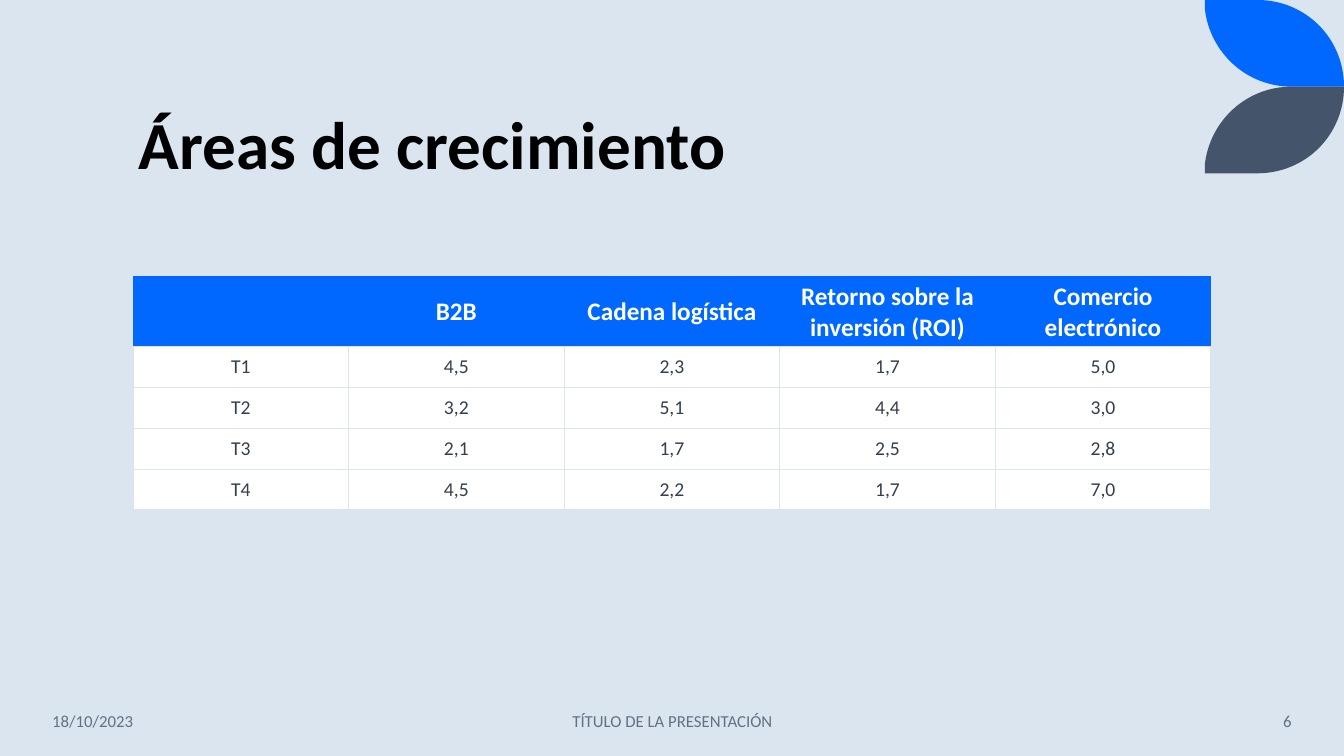
from lxml import etree
from pptx import Presentation
from pptx.dml.color import RGBColor
from pptx.enum.text import MSO_ANCHOR, PP_ALIGN
from pptx.oxml.ns import qn
from pptx.util import Inches, Pt

LEFT, CENTER, RIGHT = PP_ALIGN.LEFT, PP_ALIGN.CENTER, PP_ALIGN.RIGHT
MIDDLE, BOTTOM = MSO_ANCHOR.MIDDLE, MSO_ANCHOR.BOTTOM

FONT = "Calibri"
PALE, BLUE, SLATE = "DAE5EF", "0068FF", "44546A"
BLACK, WHITE, BODY, GREY = "000000", "FFFFFF", "333F50", "637183"

TITLE = "Áreas de crecimiento"
GROWTH = [
    ("", "B2B", "Cadena logística", "Retorno sobre la inversión (ROI)", "Comercio electrónico"),
    ("T1", "4,5", "2,3", "1,7", "5,0"),
    ("T2", "3,2", "5,1", "4,4", "3,0"),
    ("T3", "2,1", "1,7", "2,5", "2,8"),
    ("T4", "4,5", "2,2", "1,7", "7,0"),
]
FOOTER = [  # text, left, width, alignment
    ("18/10/2023", 0.42, 1.86, LEFT),
    ("TÍTULO DE LA PRESENTACIÓN", 4.42, 4.5, CENTER),
    ("6", 11.1, 1.81, RIGHT),
]
TABLE_BOX = (1.32, 2.74, 10.69, 2.32)
ROW_HEIGHT = 0.405  # the header row grows to hold its two lines

LEAF_LEFT, LEAF_HEIGHT = 11.95, 0.86
LEAF_CORNERS = [(11.95, 0), (12.47, 0), (13.33, 0.86), (12.81, 0.86), (11.95, 0.09)]
LEAF_CURVES = {  # index of the corner a curve ends at: its two control points
    2: [(12.95, 0), (13.33, 0.38)],
    4: [(12.36, 0.86), (12, 0.52)],
}


def paint(fill, color):
    fill.solid()
    fill.fore_color.rgb = RGBColor.from_string(color)


def write(frame, text, size, color, bold=False, align=LEFT, spacing=None):
    paragraph = frame.paragraphs[0]
    paragraph.alignment = align
    paragraph.line_spacing = spacing
    run = paragraph.add_run()
    run.text = text
    run.font.name, run.font.size, run.font.bold = FONT, Pt(size), bold
    run.font.color.rgb = RGBColor.from_string(color)


def add_text(slide, text, box, anchor=MIDDLE, **text_format):
    frame = slide.shapes.add_textbox(*map(Inches, box)).text_frame
    frame.word_wrap = True
    frame.vertical_anchor = anchor
    write(frame, text, **text_format)


def set_borders(cell, visible):
    """Rule the named sides of a cell and clear the others."""
    properties = cell._tc.get_or_add_tcPr()
    for position, side in enumerate(("L", "R", "T", "B")):
        line = etree.Element(qn(f"a:ln{side}"), w=str(Pt(1)))
        if side in visible:
            fill = etree.SubElement(line, qn("a:solidFill"))
            etree.SubElement(fill, qn("a:srgbClr"), val=PALE)
        else:
            etree.SubElement(line, qn("a:noFill"))
        properties.insert(position, line)


def add_leaf(slide, color, mirrored):
    """Draw a leaf from its corners, then bend two of its sides."""
    def place(point):
        x, y = point
        return Inches(x), Inches(2 * LEAF_HEIGHT - y if mirrored else y)

    corners = [place(corner) for corner in LEAF_CORNERS]
    builder = slide.shapes.build_freeform(*corners[0])
    builder.add_line_segments(corners[1:], close=True)
    leaf = builder.convert_to_shape()
    leaf.shadow.inherit = False
    paint(leaf.fill, color)
    leaf.line.fill.background()

    sides = list(leaf._element.iter(qn("a:lnTo")))
    for corner, controls in LEAF_CURVES.items():
        side = sides[corner - 1]
        side.tag = qn("a:cubicBezTo")
        for position, (x, y) in enumerate(map(place, controls)):
            point = etree.Element(qn("a:pt"), x=str(x - leaf.left), y=str(y - leaf.top))
            side.insert(position, point)


def add_growth_table(slide):
    rows, columns = len(GROWTH), len(GROWTH[0])
    left, top, width, height = map(Inches, TABLE_BOX)
    frame = slide.shapes.add_table(rows, columns, left, top, width, height)
    table = frame.table
    for r, values in enumerate(GROWTH):
        table.rows[r].height = Inches(ROW_HEIGHT)
        header = r == 0
        for c, value in enumerate(values):
            cell = table.cell(r, c)
            cell.vertical_anchor = MIDDLE
            paint(cell.fill, BLUE if header else WHITE)
            set_borders(cell, "B" if header else "LRTB")
            if value:
                write(cell.text_frame, value, size=18 if header else 14,
                      color=WHITE if header else BODY, bold=header, align=CENTER)
    frame.height = height


def main():
    deck = Presentation()
    deck.slide_width, deck.slide_height = Inches(13.33), Inches(7.5)
    slide = deck.slides.add_slide(deck.slide_layouts[6])
    paint(slide.background.fill, PALE)
    add_leaf(slide, BLUE, mirrored=False)
    add_leaf(slide, SLATE, mirrored=True)
    add_text(slide, TITLE, (1.28, 0.42, 10.69, 1.45), anchor=BOTTOM,
             size=48, color=BLACK, bold=True, spacing=0.9)
    add_growth_table(slide)
    for text, left, width, align in FOOTER:
        add_text(slide, text, (left, 6.95, width, 0.4), size=12, color=GREY, align=align)
    deck.save("out.pptx")


if __name__ == "__main__":
    main()
